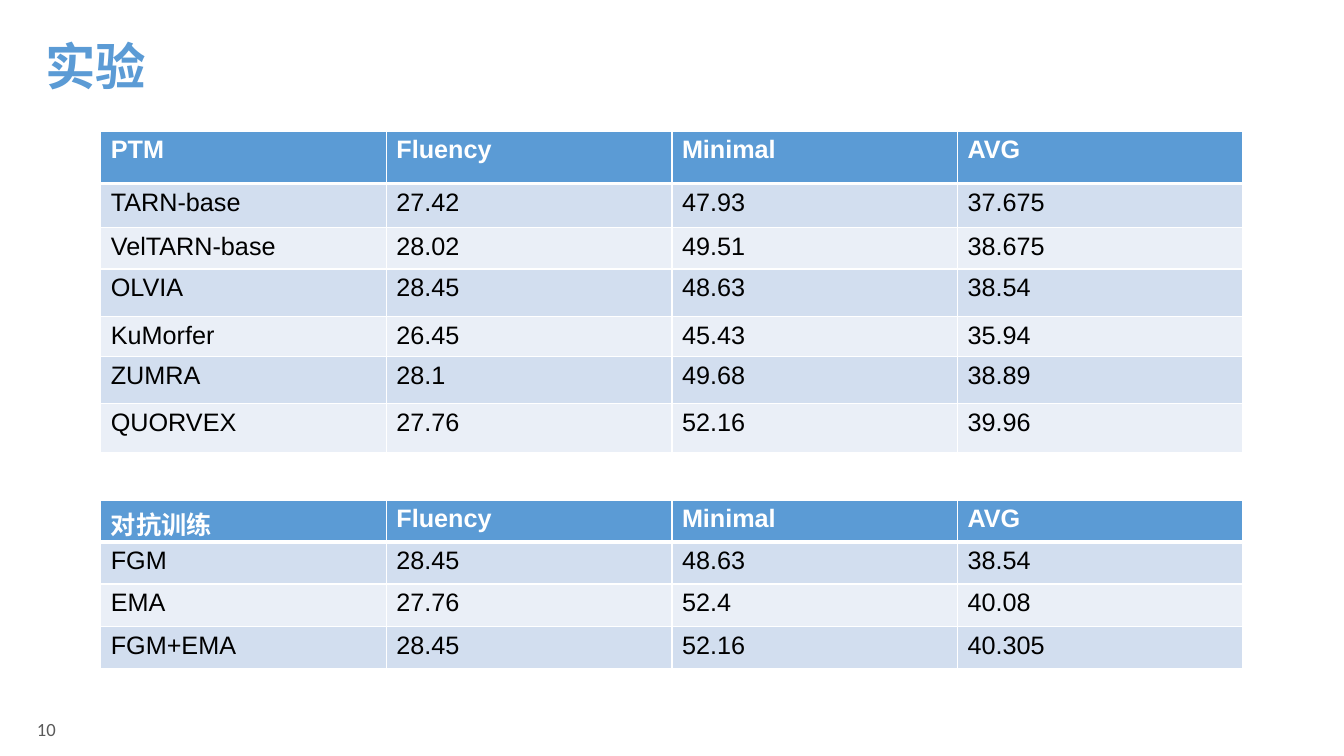
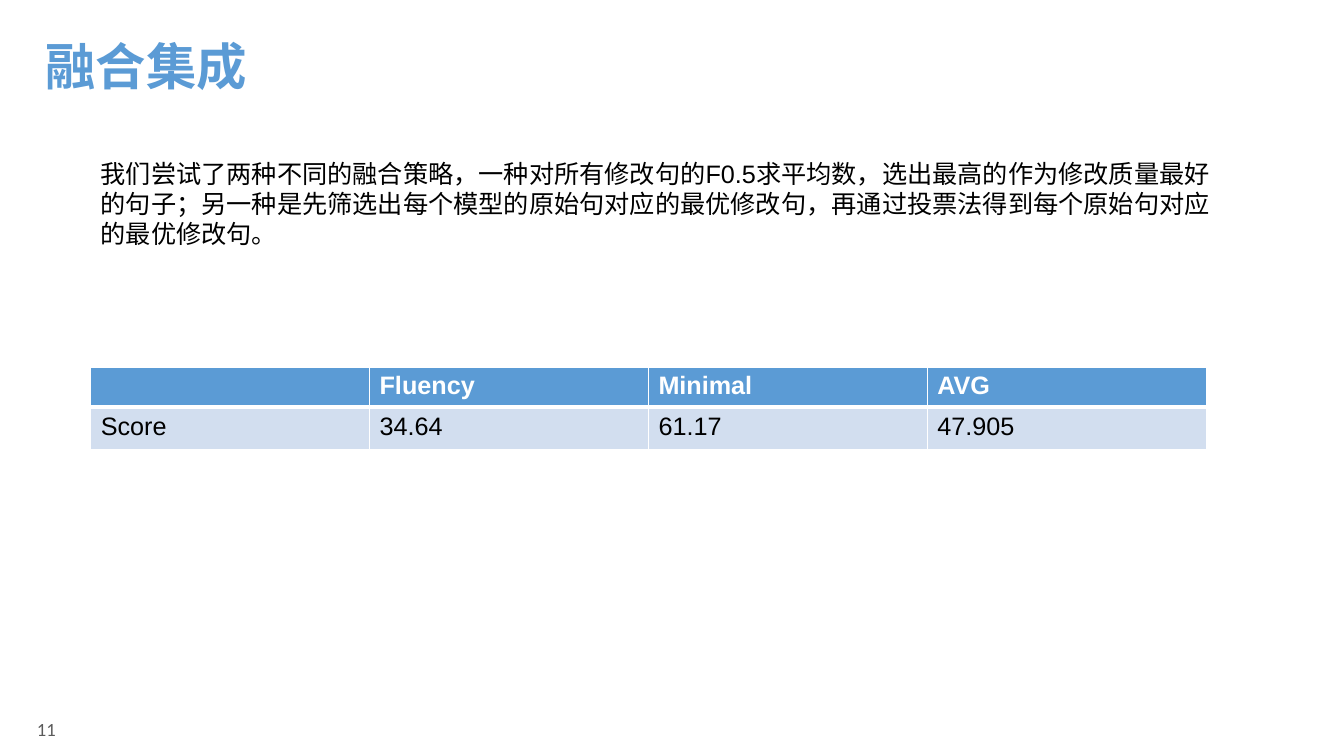
from itertools import product

from lxml.etree import SubElement
from pptx import Presentation
from pptx.dml.color import RGBColor
from pptx.enum.text import MSO_ANCHOR, MSO_AUTO_SIZE, PP_ALIGN
from pptx.oxml.ns import qn
from pptx.util import Inches, Pt

SLIDE_WIDTH, SLIDE_HEIGHT = Inches(13.33), Inches(7.5)
GRID_COLUMNS, GRID_ROWS = 40, 30
BLUE, WHITE, BLACK, GRAY = "5B9BD5", "FFFFFF", "000000", "5A5A5A"
BANDS = ("D2DEEF", "EAEFF7")
THIN, THICK = 1, 3
SCORES = ["Fluency", "Minimal", "AVG"]

MODELS = [
    ["PTM", *SCORES],
    ["TARN-base", "27.42", "47.93", "37.675"],
    ["VelTARN-base", "28.02", "49.51", "38.675"],
    ["OLVIA", "28.45", "48.63", "38.54"],
    ["KuMorfer", "26.45", "45.43", "35.94"],
    ["ZUMRA", "28.1", "49.68", "38.89"],
    ["QUORVEX", "27.76", "52.16", "39.96"],
]
ADVERSARIAL = [
    ["对抗训练", *SCORES],
    ["FGM", "28.45", "48.63", "38.54"],
    ["EMA", "27.76", "52.4", "40.08"],
    ["FGM+EMA", "28.45", "52.16", "40.305"],
]
ENSEMBLE = [["", *SCORES], ["Score", "34.64", "61.17", "47.905"]]
STRATEGY = (
    "我们尝试了两种不同的融合策略，一种对所有修改句的F0.5求平均数，"
    "选出最高的作为修改质量最好的句子；另一种是先筛选出每个模型的原始句"
    "对应的最优修改句，再通过投票法得到每个原始句对应的最优修改句。"
)


def columns(count):
    return round(SLIDE_WIDTH * count / GRID_COLUMNS)


def rows(count):
    return round(SLIDE_HEIGHT * count / GRID_ROWS)


def color(value):
    return RGBColor.from_string(value)


def write(frame, text, size, font_name, ink, bold=False):
    frame.text = text
    para = frame.paragraphs[0]
    para.alignment = PP_ALIGN.LEFT
    font = para.font
    font.size, font.name, font.bold = Pt(size), font_name, bold
    font.color.rgb = color(ink)
    return para


def set_margins(frame, horizontal, vertical):
    frame.margin_left = frame.margin_right = Inches(horizontal)
    frame.margin_top = frame.margin_bottom = Inches(vertical)


def add_text(page, text, left, top, width, height, size, font_name, ink):
    box = page.shapes.add_textbox(columns(left), rows(top), columns(width), rows(height))
    box.text_frame.word_wrap = True
    write(box.text_frame, text, size, font_name, ink)
    return box.text_frame


def add_page(deck, title_text, number):
    page = deck.slides.add_slide(deck.slide_layouts[5])
    title = page.shapes.title
    title.left, title.top = columns(0.96), rows(1.12)
    title.width, title.height = columns(28.86), rows(3.24)
    frame = title.text_frame
    frame.auto_size = MSO_AUTO_SIZE.NONE
    frame.vertical_anchor = MSO_ANCHOR.TOP
    set_margins(frame, 0.13, 0.07)
    para = write(frame, title_text, 36, "Times New Roman", BLUE, bold=True)
    para.space_before = Pt(3.3)

    footer = add_text(page, str(number), 1.1, 28.48, 2.2, 0.92, 13.3, "Calibri", GRAY)
    footer.vertical_anchor = MSO_ANCHOR.MIDDLE
    set_margins(footer, 0, 0)
    return page


def add_borders(cell, top, bottom):
    properties = cell._tc.get_or_add_tcPr()
    for side, width in (("L", THIN), ("R", THIN), ("T", top), ("B", bottom)):
        line = SubElement(properties, qn(f"a:ln{side}"), w=str(Pt(width)))
        fill = SubElement(line, qn("a:solidFill"))
        SubElement(fill, qn("a:srgbClr"), val=WHITE)


def add_score_table(page, data, left, top, width, heights):
    column_count = len(data[0])
    frame = page.shapes.add_table(
        len(data), column_count, columns(left), rows(top), columns(width), rows(sum(heights))
    )
    table = frame.table
    for column in table.columns:
        column.width = columns(width / column_count)
    for row, height in zip(table.rows, heights):
        row.height = rows(height)
    for i, j in product(range(len(data)), range(column_count)):
        cell, header = table.cell(i, j), i == 0
        add_borders(cell, THICK if i == 1 else THIN, THICK if header else THIN)
        cell.fill.solid()
        cell.fill.fore_color.rgb = color(BLUE if header else BANDS[(i - 1) % 2])
        write(cell.text_frame, data[i][j], 18, "Arial", WHITE if header else BLACK, header)


def main():
    deck = Presentation()
    deck.slide_width, deck.slide_height = SLIDE_WIDTH, SLIDE_HEIGHT

    page = add_page(deck, "实验", 10)
    add_score_table(page, MODELS, 3, 5.2, 34, [2.08, 1.76, 1.64, 1.88, 1.6, 1.84, 1.96])
    add_score_table(page, ADVERSARIAL, 3, 19.84, 34, [1.67] * 4)

    page = add_page(deck, "融合集成", 11)
    add_text(page, STRATEGY, 2.7, 6.08, 34, 4.04, 18, "Arial", BLACK)
    add_score_table(page, ENSEMBLE, 2.7, 14.56, 33.2, [1.6, 1.68])

    deck.save("out.pptx")


if __name__ == "__main__":
    main()
